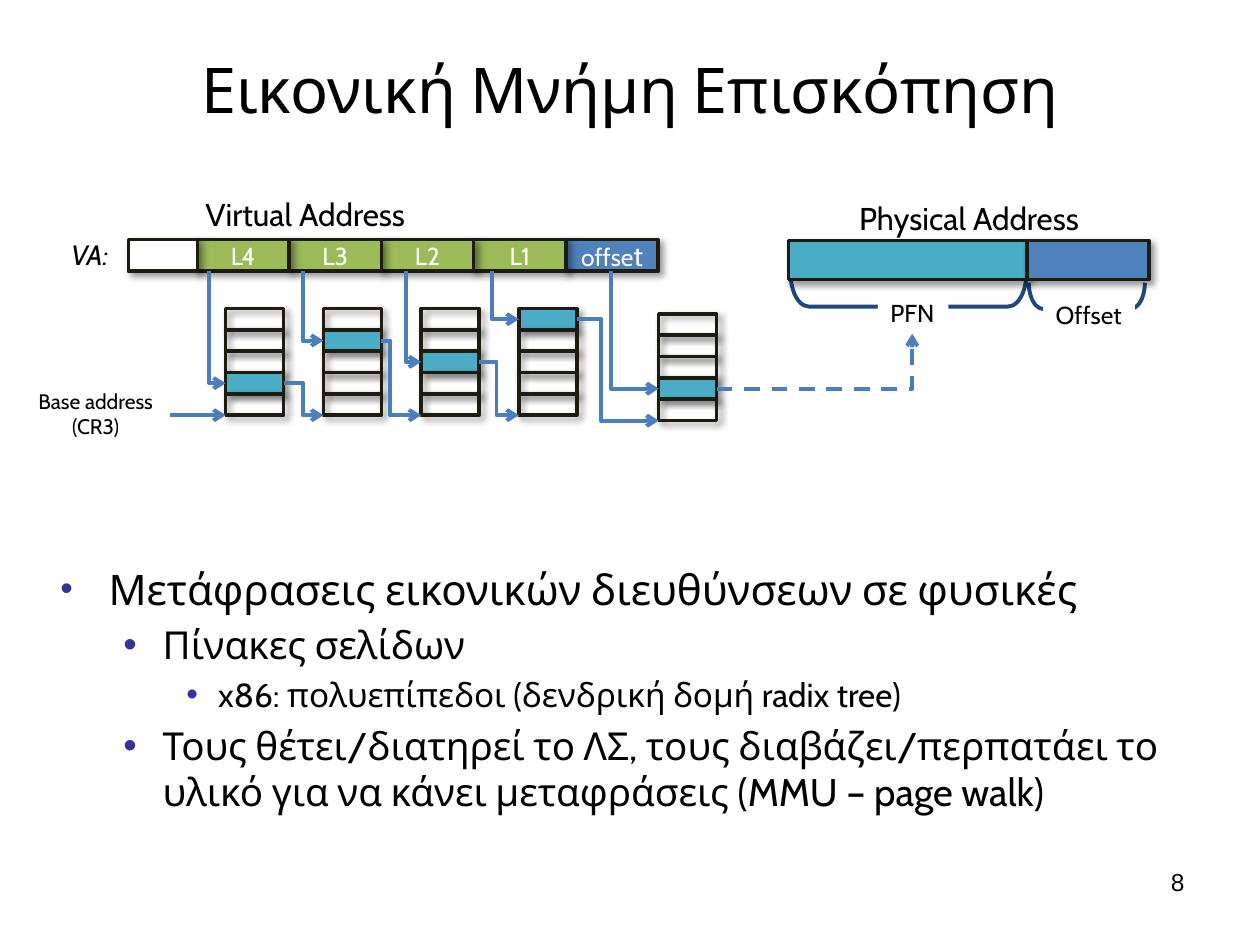
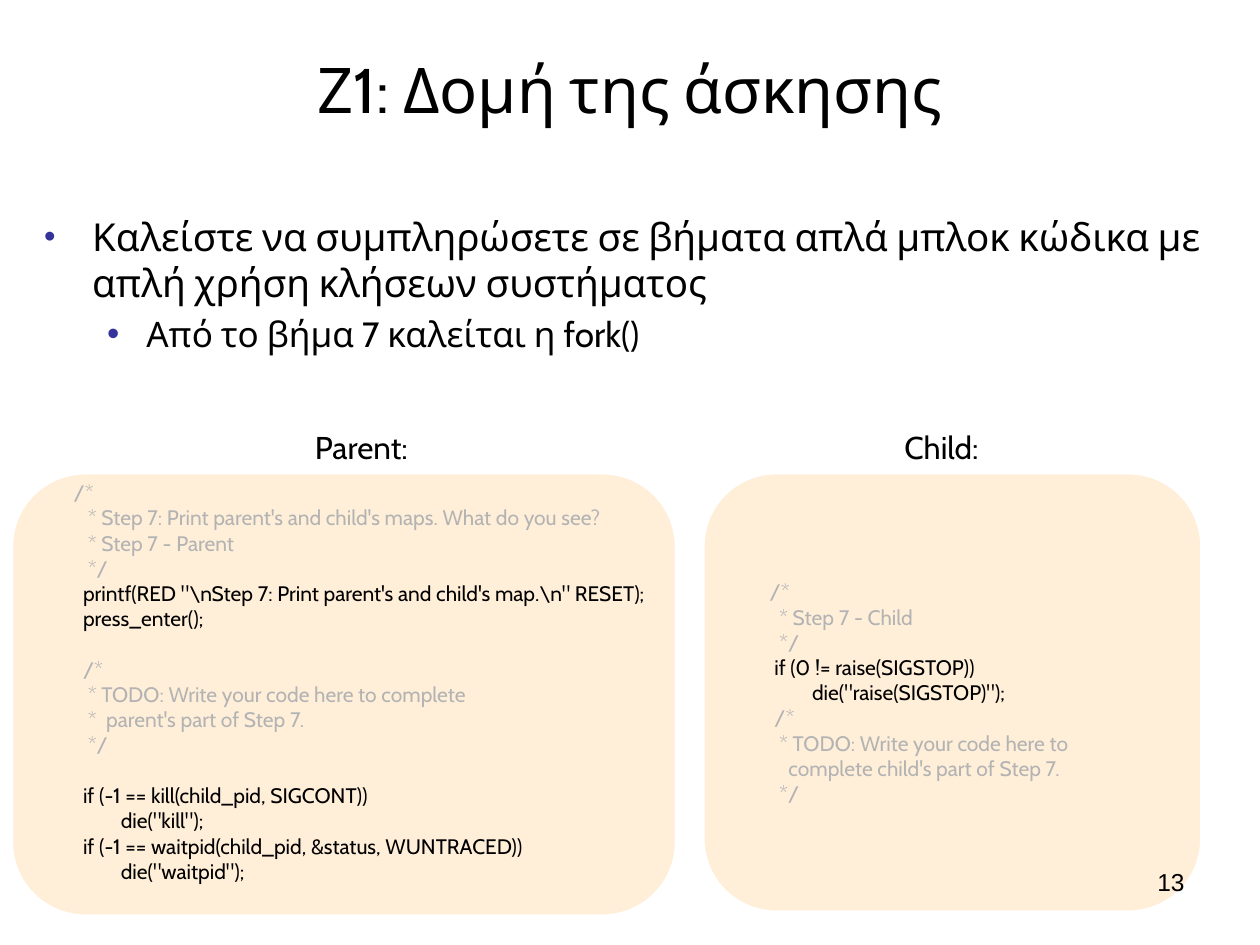
"""Build two operating-systems slides: address translation and exercise structure."""
import dataclasses

import lxml.etree
import pptx
import pptx.dml.color
import pptx.enum.dml
import pptx.enum.shapes
import pptx.enum.text
import pptx.oxml.ns
import pptx.util

Cm = pptx.util.Cm
Pt = pptx.util.Pt
ALIGN = pptx.enum.text.PP_ALIGN
ANCHOR = pptx.enum.text.MSO_ANCHOR
PRESET = pptx.enum.shapes.MSO_SHAPE
CONNECTOR = pptx.enum.shapes.MSO_CONNECTOR


@dataclasses.dataclass(frozen=True)
class Theme:
    """Colours, fonts and type sizes of the deck."""
    font: str = "Cabin"
    number_font: str = "Arial"
    ink: str = "000000"
    paper: str = "FFFFFF"
    bullet: str = "333399"
    outline: str = "1E1C11"
    index: str = "9BBB59"
    offset: str = "4F81BD"
    frame: str = "4BACC6"
    bracket: str = "1F497D"
    arrow: str = "4B7EBC"
    panel: str = "FFEFD9"
    remark: str = "B3B3B3"
    title: int = 36
    heading: int = 18
    tag: int = 16
    label: int = 14
    small: int = 12


THEME = Theme()
INDENTS = [(0.97, -0.97), (2.06, -0.79), (3.18, -0.64)]
CODE_LINE = 1.215 * THEME.small

TRANSLATION_POINTS = [
    (0, 24, "Μετάφρασεις εικονικών διευθύνσεων σε φυσικές"),
    (1, 22, "Πίνακες σελίδων"),
    (2, 19, "x86: πολυεπίπεδοι (δενδρική δομή radix tree)"),
    (1, 22, "Τους θέτει/διατηρεί το ΛΣ, τους διαβάζει/περπατάει το υλικό "
            "για να κάνει μεταφράσεις (MMU – page walk)"),
]
EXERCISE_POINTS = [
    (0, 22, "Καλείστε να συμπληρώσετε σε βήματα απλά μπλοκ κώδικα με "
            "απλή χρήση κλήσεων συστήματος"),
    (1, 20, "Από το βήμα 7 καλείται η fork()"),
]
PARENT_CODE = [
    (THEME.remark, [
        "      /*",
        "         * Step 7: Print parent's and child's maps. What do you see?",
        "         * Step 7 - Parent",
        "         */"]),
    (THEME.ink, [
        r'''        printf(RED "\nStep 7: Print parent's and child's map.\n" RESET);''',
        "        press_enter();"]),
    (THEME.remark, [
        "        /*",
        "         * TODO: Write your code here to complete",
        "         *  parent's part of Step 7.",
        "         */"]),
    (THEME.ink, [
        "        if (-1 == kill(child_pid, SIGCONT))",
        '                die("kill");',
        "        if (-1 == waitpid(child_pid, &status, WUNTRACED))",
        '                die("waitpid");']),
]
CHILD_CODE = [
    (THEME.remark, [
        "       /*",
        "         * Step 7 - Child",
        "         */"]),
    (THEME.ink, [
        "        if (0 != raise(SIGSTOP))",
        '                die("raise(SIGSTOP)");']),
    (THEME.remark, [
        "        /*",
        "         * TODO: Write your code here to",
        "           complete child's part of Step 7.",
        "         */"]),
]


def rgb(value):
    """Return a colour object for a hex value."""
    return pptx.dml.color.RGBColor.from_string(value)


def add_xml(parent, tag, **attributes):
    """Append a DrawingML element and return it."""
    return lxml.etree.SubElement(parent, pptx.oxml.ns.qn(tag), attributes)


def write(paragraph, text, size, color=THEME.ink, font=THEME.font, italic=None):
    """Add one formatted run."""
    run = paragraph.add_run()
    run.text = text
    run.font.size = Pt(size)
    run.font.name = font
    run.font.color.rgb = rgb(color)
    run.font.italic = italic


def paragraphs(frame, count):
    """Return the given number of paragraphs, starting with the existing one."""
    return [frame.paragraphs[0]] + [frame.add_paragraph() for _ in range(count - 1)]


def add_text(slide, place, lines, size, align=ALIGN.LEFT, anchor=ANCHOR.TOP,
             wrap=False, fill=None, **style):
    """Add a text box with one paragraph per line."""
    box = slide.shapes.add_textbox(*map(Cm, place))
    box.text_frame.word_wrap = wrap
    box.text_frame.vertical_anchor = anchor
    if fill:
        box.fill.solid()
        box.fill.fore_color.rgb = rgb(fill)
    for paragraph, line in zip(paragraphs(box.text_frame, len(lines)), lines):
        paragraph.alignment = align
        write(paragraph, line, size, **style)


def add_bullets(slide, place, points):
    """Add a body box of bulleted (level, size, text) points."""
    frame = slide.shapes.add_textbox(*map(Cm, place)).text_frame
    frame.word_wrap = True
    for order, (paragraph, (level, size, text)) in enumerate(
            zip(paragraphs(frame, len(points)), points)):
        margin, indent = INDENTS[level]
        paragraph.level = level
        properties = paragraph._p.get_or_add_pPr()
        properties.set("marL", str(Cm(margin)))
        properties.set("indent", str(Cm(indent)))
        add_xml(add_xml(properties, "a:buClr"), "a:srgbClr", val=THEME.bullet)
        add_xml(properties, "a:buSzPct", val="100000" if level else "85000")
        add_xml(properties, "a:buFont", typeface=THEME.number_font)
        add_xml(properties, "a:buChar", char="•")
        if order:
            paragraph.space_before = Pt(0.2 * size)
        write(paragraph, text, size)


def add_block(slide, preset, place, fill=None, line=THEME.outline, weight=2):
    """Add a preset shape without shadow."""
    block = slide.shapes.add_shape(preset, *map(Cm, place))
    block.shadow.inherit = False
    if fill:
        block.fill.solid()
        block.fill.fore_color.rgb = rgb(fill)
    else:
        block.fill.background()
    block.line.color.rgb = rgb(line)
    block.line.width = Pt(weight)
    return block


def add_cell(slide, place, fill=None):
    """Add an outlined memory cell with a soft shadow."""
    cell = add_block(slide, PRESET.RECTANGLE, place, fill)
    effects = cell._element.spPr.find(pptx.oxml.ns.qn("a:effectLst"))
    shadow = add_xml(effects, "a:outerShdw", blurRad=str(Pt(4)), dist=str(Pt(3)),
                     dir="2700000", algn="tl", rotWithShape="0")
    add_xml(add_xml(shadow, "a:srgbClr", val="000000"), "a:alpha", val="40000")
    return cell


def add_field(slide, place, fill, *runs):
    """Add an address field holding (text, size) runs."""
    frame = add_cell(slide, place, fill).text_frame
    frame.vertical_anchor = ANCHOR.MIDDLE
    frame.paragraphs[0].alignment = ALIGN.CENTER
    for text, size in runs:
        write(frame.paragraphs[0], text, size, THEME.paper)


def add_page_table(slide, left, top, width, row, hit):
    """Add a five-entry table whose selected entry is filled."""
    for entry in range(5):
        add_cell(slide, (left, top + entry * row, width, row),
                 THEME.frame if entry == hit else None)


def add_bracket(slide, left, top, width, height):
    """Add a bracket that opens upwards over the given area."""
    shift = (width - height) / 2
    bracket = add_block(slide, PRESET.LEFT_BRACKET,
                        (left + shift, top - shift, height, width),
                        line=THEME.bracket, weight=2.25)
    bracket.adjustments[0] = 0.56
    bracket.rotation = 90
    bracket._element.spPr.xfrm.set("flipH", "1")


def add_arrow(slide, start, end, kind=CONNECTOR.STRAIGHT):
    """Add an arrow between two points and return it."""
    arrow = slide.shapes.add_connector(kind, *map(Cm, start + end))
    arrow.line.color.rgb = rgb(THEME.arrow)
    arrow.line.width = Pt(2.25)
    add_xml(arrow.line._get_or_add_ln(), "a:tailEnd", type="arrow")
    add_xml(arrow._element.spPr, "a:effectLst")
    return arrow


def add_corner(slide, start, end):
    """Add an arrow that runs sideways, then turns once."""
    arrow = add_arrow(slide, start, end, CONNECTOR.ELBOW)
    arrow._element.spPr.prstGeom.set("prst", "bentConnector2")
    return arrow


def add_drop(slide, start, end):
    """Add an arrow that runs down, then turns right."""
    middle_x, middle_y = (start[0] + end[0]) / 2, (start[1] + end[1]) / 2
    half_x, half_y = (end[0] - start[0]) / 2, (end[1] - start[1]) / 2
    arrow = add_corner(slide, (middle_x - half_y, middle_y - half_x),
                       (middle_x + half_y, middle_y + half_x))
    arrow._element.spPr.xfrm.set("rot", "16200000")
    arrow._element.spPr.xfrm.set("flipH", "1")


def add_step(slide, start, end, bend):
    """Add an arrow that goes right, down at the bend, and right again."""
    arrow = add_arrow(slide, start, end, CONNECTOR.ELBOW)
    share = round(100000 * (bend - start[0]) / (end[0] - start[0]))
    guides = arrow._element.spPr.prstGeom.get_or_add_avLst()
    add_xml(guides, "a:gd", name="adj1", fmla=f"val {share}")


def add_code(slide, place, sections, gap=0):
    """Add a rounded panel of coloured code sections, a gap in points apart."""
    panel = add_block(slide, PRESET.ROUNDED_RECTANGLE, place, THEME.panel, THEME.paper)
    frame = panel.text_frame
    frame.word_wrap = False
    frame.vertical_anchor = ANCHOR.MIDDLE
    frame.margin_bottom = Cm(0.13) + Pt(gap)
    lines = [(color, line, color == THEME.remark and not order)
             for color, section in sections for order, line in enumerate(section)]
    after_gap = {sections[-1][1][0], sections[-2][1][0]}
    for paragraph, (color, line, _) in zip(paragraphs(frame, len(lines)), lines):
        paragraph.alignment = ALIGN.LEFT
        if gap and line in after_gap:
            paragraph.space_before = Pt(gap)
        write(paragraph, line, THEME.small, color)


def add_page(deck, title):
    """Add a blank slide with its title."""
    slide = deck.slides.add_slide(deck.slide_layouts[6])
    add_text(slide, (1.27, 0.76, 22.86, 2.03), [title], THEME.title,
             ALIGN.CENTER, ANCHOR.MIDDLE, wrap=True)
    return slide


def add_number(slide, number):
    """Add the slide number at the lower right."""
    add_text(slide, (18.21, 17.35, 5.92, 1.32), [number], THEME.label,
             ALIGN.RIGHT, wrap=True, font=THEME.number_font)


def add_page_walk(slide):
    """Draw the virtual address, its page tables and the walk through them."""
    add_text(slide, (1.19, 4.67, 1.37, 0.94), ["VA:"], THEME.tag, italic=True)
    top, height, width, first = 4.83, 0.64, 1.86, 3.97
    add_field(slide, (first + 4 * width, top, width, height), THEME.offset,
              ("offse", THEME.label), ("t", THEME.tag))
    for order in reversed(range(4)):
        add_field(slide, (first + order * width, top, width, height), THEME.index,
                  (f"L{4 - order}", THEME.label))
    add_cell(slide, (2.59, top, 1.39, height), THEME.paper)

    entry_width, row = 1.17, 0.43
    tables = [(4.55 + 1.97 * order, 6.22, hit) for order, hit in enumerate((3, 1, 2, 0))]
    tables.append((13.28, 6.33, 3))
    drops = [4.22, 6.1, 8.18, 9.91, 12.32]
    bends = [6.1, 7.87, 10.01, 12.12]
    source = (3.43, 8.37)
    for order, ((left, table_top, hit), drop) in enumerate(zip(tables, drops)):
        add_page_table(slide, left, table_top, entry_width, row, hit)
        hit_y = table_top + (hit + 0.5) * row
        base = (left, table_top + 5 * row)
        add_drop(slide, (drop, top + height), (left, hit_y))
        if order:
            add_step(slide, source, base, bends[order - 1])
        else:
            add_arrow(slide, source, base)
        source = (left + entry_width, hit_y)
    to_frame = add_corner(slide, source, (18.39, 6.73))
    to_frame.line.dash_style = pptx.enum.dml.MSO_LINE.DASH
    add_text(slide, (0.43, 7.7, 3, 1.27), ["Base address", "(CR3)"], THEME.small,
             ALIGN.CENTER)


def add_physical_address(slide):
    """Draw the physical address with its two bracketed parts."""
    add_bracket(slide, 15.94, 5.52, 4.75, 0.66)
    add_bracket(slide, 20.74, 5.7, 2.34, 0.53)
    for name, place in (("Offset", (21.03, 5.92, 1.85, 0.86)),
                        ("PFN", (17.7, 5.89, 1.42, 0.86))):
        add_text(slide, place, [name], THEME.label, fill=THEME.paper)
    add_cell(slide, (15.9, 4.85, 4.8, 0.79), THEME.frame)
    add_cell(slide, (20.7, 4.85, 2.46, 0.79), THEME.offset)


def main():
    """Build and save the deck."""
    deck = pptx.Presentation()
    deck.slide_width, deck.slide_height = Cm(25.4), Cm(19.05)

    memory = add_page(deck, "Εικονική Μνήμη Επισκόπηση")
    add_bullets(memory, (0.97, 11.23, 22.91, 5.46), TRANSLATION_POINTS)
    add_physical_address(memory)
    add_page_walk(memory)
    add_text(memory, (17.07, 3.89, 5.18, 1.02), ["Physical Address"], THEME.heading)
    add_text(memory, (3.89, 3.81, 4.78, 1.02), ["Virtual Address"], THEME.heading)
    add_number(memory, "8")

    exercise = add_page(deck, "Ζ1: Δομή της άσκησης")
    add_bullets(exercise, (0.64, 4.17, 24.13, 14.12), EXERCISE_POINTS)
    add_code(exercise, (0.23, 9.53, 13.41, 8.94), PARENT_CODE, CODE_LINE)
    add_code(exercise, (14.17, 9.53, 10.06, 8.86), CHILD_CODE)
    for name, left, width in (("Parent:", 6.1, 2.79), ("Child:", 17.98, 2.21)):
        add_text(exercise, (left, 8.51, width, 1.02), [name], THEME.heading,
                 wrap=True, fill=THEME.paper)
    add_number(exercise, "13")
    deck.save("out.pptx")


if __name__ == "__main__":
    main()
